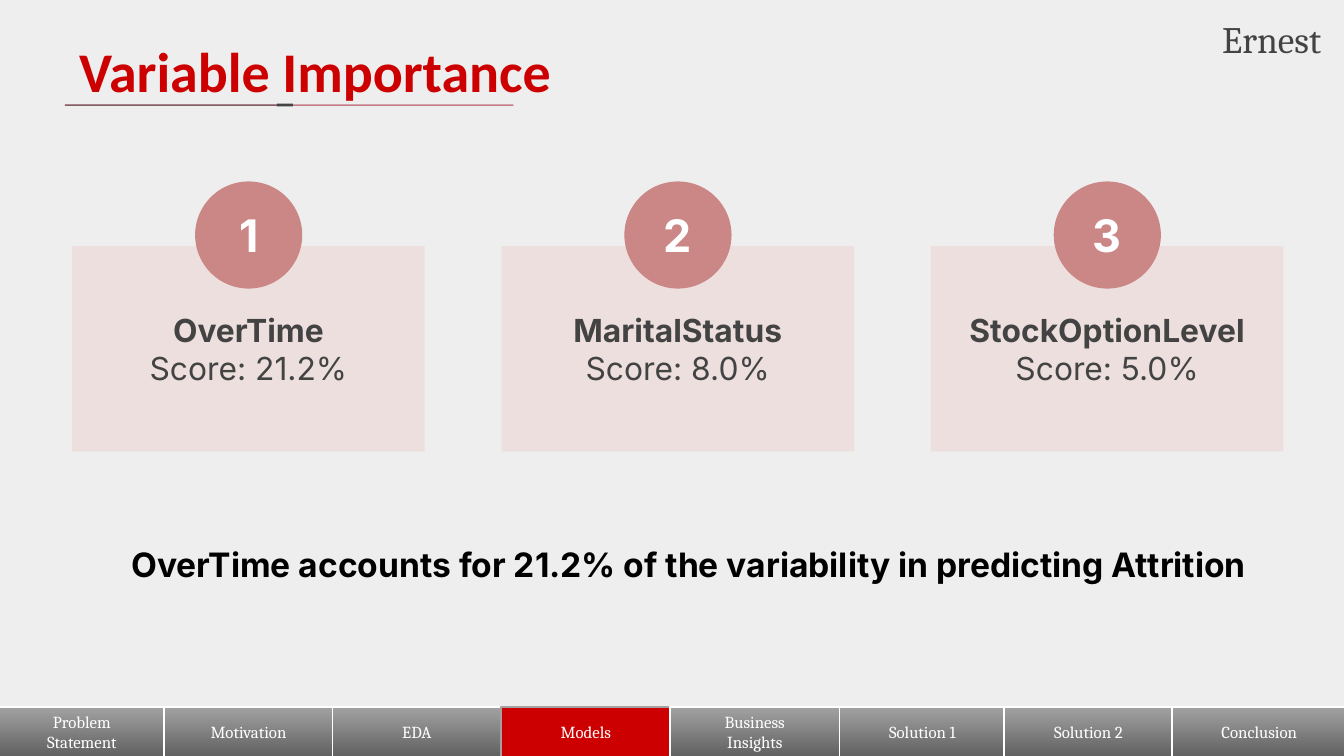
from typing import NamedTuple

from pptx import Presentation
from pptx import util as u
from pptx.dml.color import RGBColor
from pptx.enum import shapes, text
from pptx.oxml import ns, xmlchemy as xc

Pt = u.Pt
HUE = {
    "back": "EEEEEE", "red": "CC0000", "dark": "434343", "white": "FFFFFF",
    "black": "000000", "card": "E38075", "disc": "CA8786", "rule": "A10C28",
    "light": "A2A2A2", "deep": "616161", "edge": "A6A1A1",
}
WIDE = (7.2, 7.2)
SLIM = (5, 2.9)


class Box(NamedTuple):
    x: float
    y: float
    w: float
    h: float


class Type(NamedTuple):
    face: str
    size: float
    hue: str
    bold: bool = False
    align: text.PP_ALIGN = text.PP_ALIGN.CENTER


class Tab(NamedTuple):
    x: float
    lines: tuple[str, ...]
    w: float = 90.7
    live: bool = False


class Card(NamedTuple):
    name: str
    score: str


def rgb(name: str) -> RGBColor:
    return RGBColor.from_string(HUE[name])


def fade(shape, share: int) -> None:
    """Set the opacity, in percent, of the shape's colour."""
    for tint in shape._element.spPr.iter(ns.qn("a:srgbClr")):
        alpha = xc.OxmlElement("a:alpha")
        alpha.set("val", str(share * 1000))
        tint.append(alpha)


def write(shape, lines: tuple[str, ...], kind: Type, pad=WIDE,
          anchor=text.MSO_ANCHOR.MIDDLE) -> None:
    frame = shape.text_frame
    frame.word_wrap = True
    frame.vertical_anchor = anchor
    frame.margin_left = frame.margin_right = Pt(pad[0])
    frame.margin_top = frame.margin_bottom = Pt(pad[1])
    frame.text = "\n".join(lines)
    for para in frame.paragraphs:
        para.alignment = kind.align
        font = para.font
        font.name, font.size, font.bold = kind.face, Pt(kind.size), kind.bold
        font.color.rgb = rgb(kind.hue)


def label(slide, box: Box, words: str, kind: Type, pad=WIDE) -> None:
    area = slide.shapes.add_textbox(*map(Pt, box))
    write(area, (words,), kind, pad, text.MSO_ANCHOR.TOP)


def block(slide, form, box: Box, hue: str):
    shape = slide.shapes.add_shape(form, *map(Pt, box))
    shape.shadow.inherit = False
    shape.fill.solid()
    shape.fill.fore_color.rgb = rgb(hue)
    shape.line.fill.background()
    return shape


def rule(slide, x: float, end: float, y: float, hue: str) -> None:
    line = slide.shapes.add_connector(
        shapes.MSO_CONNECTOR.STRAIGHT, Pt(x), Pt(y), Pt(end), Pt(y))
    line.line.color.rgb = rgb(hue)
    line.line.width = Pt(0.75)
    fade(line, 50)
    line._element.spPr.append(xc.OxmlElement("a:effectLst"))


def draw_tab(slide, tab: Tab) -> None:
    shape = block(slide, FORM.SNIP_1_RECTANGLE,
                  Box(tab.x, 378.7, tab.w, 26.6), "red")
    shape.adjustments[0] = 0
    if not tab.live:
        shape.fill.gradient()
        shape.fill.gradient_angle = 270
        for stop, hue in zip(shape.fill.gradient_stops, ("light", "deep")):
            stop.color.rgb = rgb(hue)
    shape.line.color.rgb = rgb("edge" if tab.live else "white")
    shape.line.width = Pt(0.75)
    write(shape, tab.lines, Type("Cambria", 9, "white"), SLIM)


def draw_card(slide, card: Card, x: float) -> None:
    panel = block(slide, FORM.RECTANGLE, Box(x, 131.8, 188.9, 110), "card")
    fade(panel, 13)
    write(panel, (card.name, card.score), Type("Inter", 17, "dark"))
    panel.text_frame.paragraphs[0].font.bold = True


def draw_disc(slide, rank: int, x: float) -> None:
    disc = block(slide, FORM.OVAL, Box(x + 65.8, 97.2, 57.4, 57.4), "disc")
    write(disc, (str(rank),), Type("Inter", 24, "white", True))


FORM = shapes.MSO_SHAPE
LEFT, RIGHT = text.PP_ALIGN.LEFT, text.PP_ALIGN.RIGHT
# The active tab and its right neighbour lie on top of the others
TABS = [
    Tab(-1.5, ("Problem", "Statement")),
    Tab(87.8, ("Motivation",)),
    Tab(178, ("EDA",)),
    Tab(448.8, ("Solution 1",)),
    Tab(537.8, ("Solution 2",)),
    Tab(627.8, ("Conclusion",), 93.6),
    Tab(268.5, ("Models",), live=True),
    Tab(359, ("Business", "Insights")),
]
CARDS = [
    Card("OverTime", "Score: 21.2%"),
    Card("MaritalStatus", "Score: 8.0%"),
    Card("StockOptionLevel", "Score: 5.0%"),
]


def main() -> None:
    deck = Presentation()
    deck.slide_width, deck.slide_height = Pt(720), Pt(405)
    slide = deck.slides.add_slide(deck.slide_layouts[6])
    slide.background.fill.solid()
    slide.background.fill.fore_color.rgb = rgb("back")

    # Navigation bar
    for tab in TABS:
        draw_tab(slide, tab)

    # Title with its rule
    label(slide, Box(35.3, 12.2, 607, 45.4), "Variable Importance",
          Type("Calibri", 30, "red", True, LEFT))
    rule(slide, 34.7, 275, 56.3, "rule")
    rule(slide, 34.7, 148.3, 56.3, "dark")
    block(slide, FORM.RECTANGLE, Box(148.3, 55.5, 8.6, 1.5), "dark")

    # Ranked cards
    for rank, card in enumerate(CARDS, 1):
        x = 38.7 + 230 * (rank - 1)
        draw_card(slide, card, x)
        draw_disc(slide, rank, x)

    # Finding and speaker
    label(slide, Box(63.4, 284.4, 617.8, 36),
          "OverTime accounts for 21.2% of the variability in predicting "
          "Attrition",
          Type("Inter", 18, "black", True, text.PP_ALIGN.JUSTIFY))
    label(slide, Box(611.3, 5.8, 101.5, 29.5), "Ernest",
          Type("Cambria", 20, "dark", align=RIGHT), SLIM)

    deck.save("out.pptx")


if __name__ == "__main__":
    main()
